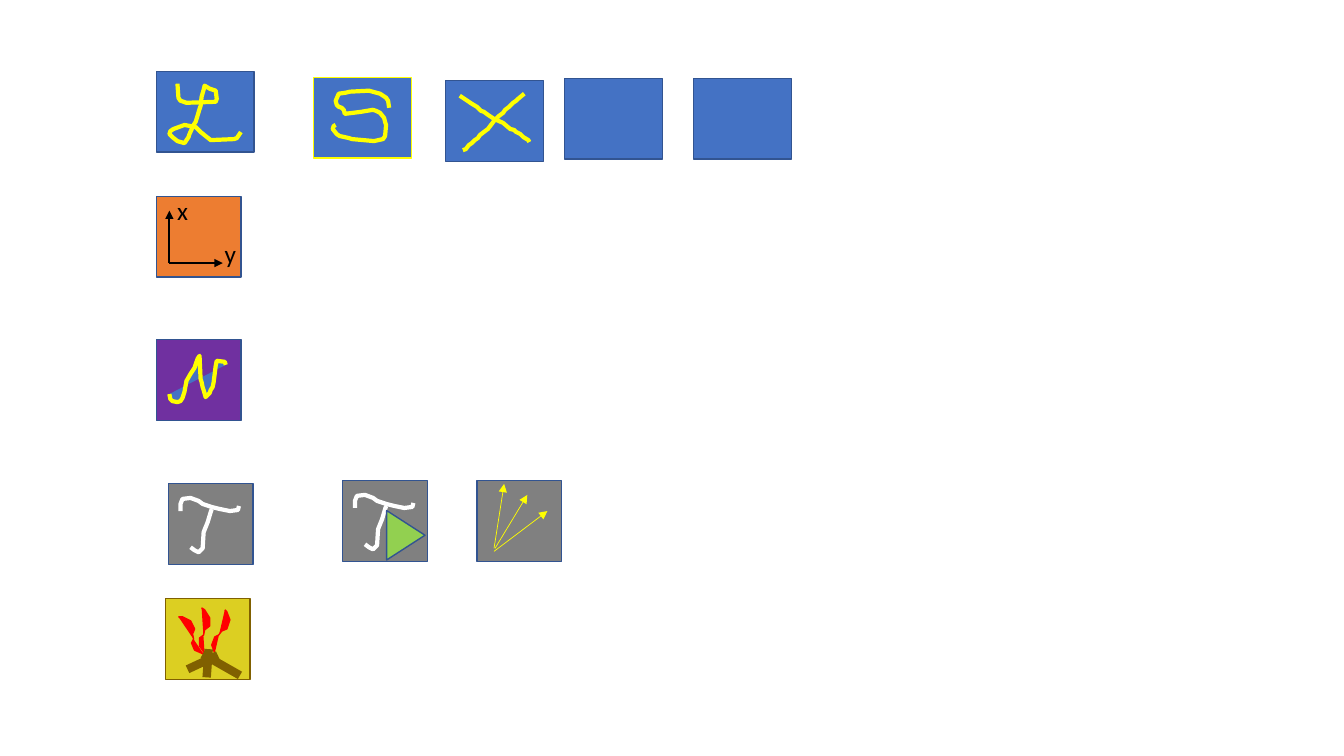
from pptx import Presentation
from pptx.dml.color import RGBColor
from pptx.enum.shapes import MSO_CONNECTOR, MSO_SHAPE
from pptx.enum.text import MSO_AUTO_SIZE
from pptx.oxml.ns import qn
from pptx.util import Inches, Pt
from lxml.etree import SubElement

THEME = {
    "blue": "4472C4", "edge": "325491", "yellow": "FFFF00", "orange": "ED7D31",
    "purple": "7030A0", "gray": "808080", "gold": "DCCF22", "brown": "806000",
    "green": "92D050", "red": "FF0000", "white": "FFFFFF", "black": "000000",
    "font": "Calibri", "label": 18,
    "thin": 0.5, "outline": 1, "axis": 1.5, "ink": 3, "log": 6,
}

WIDE, NARROW, TALL = 0.97, 0.84, 0.8
T_TILES = [(1.67, 4.8), (3.4, 4.77)]
TILES = [
    (1.55, 0.71, WIDE, "blue", "edge"),
    (3.11, 0.77, WIDE, "blue", "yellow"),
    (4.42, 0.8, WIDE, "blue", "edge"),
    (5.6, 0.78, WIDE, "blue", "edge"),
    (6.88, 0.78, WIDE, "blue", "edge"),
    (1.55, 1.95, NARROW, "orange", "edge"),
    (1.55, 3.37, NARROW, "purple", "edge"),
    *[(left, top, NARROW, "gray", "edge") for left, top in T_TILES],
    (4.73, 4.77, NARROW, "gray", "edge"),
    (1.64, 5.94, NARROW, "gold", "brown"),
]

LETTER_L = [
    (1.76, 0.83), (1.77, 0.97), (1.79, 1), (1.85, 1.02), (2.14, 1.01), (2.15, 0.98),
    (2.14, 0.9), (2.08, 0.88), (2.03, 0.85), (2.02, 0.89), (2, 0.96), (1.99, 1.05),
    (1.98, 1.08), (1.95, 1.18), (1.94, 1.21), (1.92, 1.24), (1.88, 1.33), (1.87, 1.36),
    (1.83, 1.42), (1.76, 1.4), (1.71, 1.36), (1.68, 1.33), (1.69, 1.3), (1.72, 1.28),
    (1.83, 1.24), (1.94, 1.26), (1.99, 1.31), (2.04, 1.35), (2.09, 1.39), (2.32, 1.38),
    (2.35, 1.37), (2.39, 1.31),
]
LETTER_S = [
    (3.86, 1.07), (3.85, 1), (3.83, 0.97), (3.77, 0.93), (3.66, 0.9), (3.47, 0.91),
    (3.43, 0.92), (3.36, 0.93), (3.33, 1), (3.34, 1.04), (3.36, 1.06), (3.39, 1.07),
    (3.41, 1.09), (3.42, 1.13), (3.58, 1.11), (3.7, 1.09), (3.73, 1.1), (3.77, 1.12),
    (3.81, 1.17), (3.82, 1.21), (3.83, 1.24), (3.82, 1.35), (3.8, 1.38), (3.71, 1.4),
    (3.49, 1.38), (3.46, 1.37), (3.37, 1.35), (3.34, 1.33), (3.3, 1.28), (3.31, 1.25),
    (3.33, 1.24),
]
CROSS_RISING = [
    (5.2, 0.93), (5.14, 0.98), (5.12, 1), (5.09, 1.02), (5.05, 1.06), (5.01, 1.09),
    (4.99, 1.12), (4.95, 1.15), (4.9, 1.2), (4.84, 1.28), (4.76, 1.34), (4.74, 1.37),
    (4.71, 1.39), (4.68, 1.42), (4.65, 1.44), (4.62, 1.48), (4.59, 1.49),
]
CROSS_FALLING = [
    (4.56, 0.95), (4.62, 0.99), (4.65, 1.01), (4.68, 1.03), (4.73, 1.06), (4.77, 1.1),
    (4.8, 1.11), (4.84, 1.14), (4.9, 1.18), (4.99, 1.22), (5.06, 1.28), (5.1, 1.29),
    (5.12, 1.31), (5.16, 1.33), (5.19, 1.36), (5.24, 1.39), (5.25, 1.41),
]
LETTER_N = [
    (1.68, 3.91), (1.69, 3.96), (1.71, 3.98), (1.76, 3.99), (1.79, 3.98), (1.81, 3.95),
    (1.83, 3.89), (1.85, 3.78), (1.89, 3.71), (1.93, 3.65), (1.95, 3.59), (1.96, 3.56),
    (1.98, 3.53), (1.99, 3.76), (2, 3.79), (2.01, 3.84), (2.02, 3.87), (2.04, 3.94),
    (2.08, 3.9), (2.09, 3.87), (2.11, 3.84), (2.12, 3.79), (2.14, 3.63), (2.15, 3.58),
    (2.23, 3.59), (2.24, 3.62),
]
T_BAR = [
    (0.12, 0.27), (0.12, 0.2), (0.14, 0.15), (0.22, 0.14), (0.3, 0.17), (0.34, 0.2),
    (0.43, 0.23), (0.51, 0.25), (0.61, 0.27), (0.69, 0.26), (0.7, 0.22),
]
T_STEM = [
    (0.22, 0.63), (0.26, 0.66), (0.3, 0.68), (0.34, 0.64), (0.35, 0.48), (0.39, 0.38),
    (0.42, 0.28), (0.43, 0.25),
]
FLAMES = [
    [(2.03, 6.48), (1.98, 6.41), (1.98, 6.33), (2.02, 6.3), (2.03, 6.25), (2.08, 6.21),
     (2.08, 6.13), (2.03, 6.05), (2, 6.03)],
    [(2.13, 6.48), (2.1, 6.4), (2.13, 6.32), (2.17, 6.3), (2.2, 6.26), (2.25, 6.24),
     (2.28, 6.15), (2.25, 6.07), (2.23, 6.05)],
    [(2.02, 6.49), (1.93, 6.45), (1.9, 6.38), (1.92, 6.34), (1.91, 6.29), (1.93, 6.24),
     (1.89, 6.16), (1.81, 6.12), (1.77, 6.12)],
]

INK = [
    *[(stroke, "yellow", "ink", None)
      for stroke in (LETTER_L, LETTER_S, CROSS_RISING, CROSS_FALLING)],
    (LETTER_N, "yellow", "ink", "blue"),
    *[([(left + x, top + y) for x, y in stroke], "white", "ink", None)
      for left, top in T_TILES for stroke in (T_BAR, T_STEM)],
    *[(flame, "red", "outline", "red") for flame in FLAMES],
]

AXES = [(1.68, 2.61, 1.68, 2.09), (1.68, 2.61, 2.21, 2.61)]
LOGS = [(2.01, 6.49, 2.38, 6.7), (1.86, 6.64, 2.16, 6.5), (2.05, 6.72, 2.07, 6.44)]
RAYS = [(4.9, 5.44, 5, 4.8), (4.91, 5.44, 5.23, 4.91), (4.9, 5.47, 5.43, 5.07)]
LINES = [(AXES, "black", "axis", True), (LOGS, "brown", "log", False),
         (RAYS, "yellow", "thin", True)]
LABELS = [("x", 1.66, 1.89), ("y", 2.13, 2.32)]


def color(name):
    return RGBColor.from_string(THEME[name])


def set_line(shape, name, width):
    shape.line.color.rgb = color(name)
    shape.line.width = Pt(THEME[width])


def paint(shape, fill, line, width="outline"):
    shape.shadow.inherit = False
    if fill:
        shape.fill.solid()
        shape.fill.fore_color.rgb = color(fill)
    else:
        shape.fill.background()
    set_line(shape, line, width)


def add_preset(page, kind, place, fill, line, rotation=0):
    shape = page.shapes.add_shape(kind, *map(Inches, place))
    shape.rotation = rotation
    paint(shape, fill, line)


def add_ink(page, points, line, width, fill):
    start, *rest = [(Inches(x), Inches(y)) for x, y in points]
    builder = page.shapes.build_freeform(*start)
    builder.add_line_segments(rest, close=False)
    paint(builder.convert_to_shape(), fill, line, width)


def add_line(page, ends, name, width, arrow):
    line = page.shapes.add_connector(MSO_CONNECTOR.STRAIGHT, *map(Inches, ends))
    set_line(line, name, width)
    if arrow:
        SubElement(line.line._get_or_add_ln(), qn("a:tailEnd"), type="triangle")
    SubElement(line._element.spPr, qn("a:effectLst"))


def add_text(page, text, *, left, top, width=0.34, height=0.4, size="label", ink="black"):
    box = page.shapes.add_textbox(*map(Inches, (left, top, width, height)))
    frame = box.text_frame
    frame.word_wrap = False
    frame.auto_size = MSO_AUTO_SIZE.SHAPE_TO_FIT_TEXT
    span = frame.paragraphs[0].add_run()
    span.text = text
    span.font.name = THEME["font"]
    span.font.size = Pt(THEME[size])
    span.font.color.rgb = color(ink)


def main():
    deck = Presentation()
    deck.slide_width, deck.slide_height = Inches(13.33), Inches(7.5)
    page = deck.slides.add_slide(deck.slide_layouts[6])
    for left, top, width, fill, line in TILES:
        add_preset(page, MSO_SHAPE.RECTANGLE, (left, top, width, TALL), fill, line)
    for stroke in INK:
        add_ink(page, *stroke)
    add_preset(page, MSO_SHAPE.ISOSCELES_TRIANGLE, (3.78, 5.12, 0.49, 0.38),
               "green", "edge", rotation=90)
    for group, name, width, arrow in LINES:
        for ends in group:
            add_line(page, ends, name, width, arrow)
    for text, left, top in LABELS:
        add_text(page, text, left=left, top=top)
    deck.save("out.pptx")


if __name__ == "__main__":
    main()
